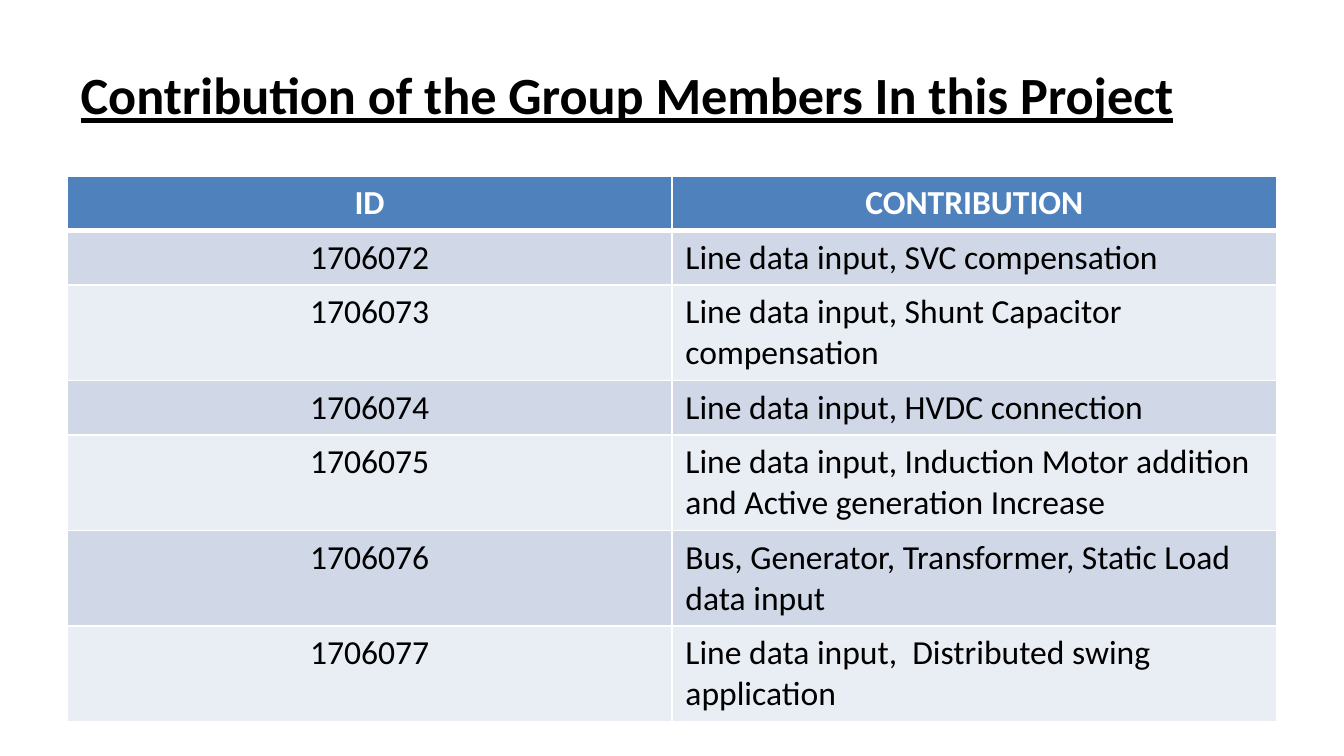
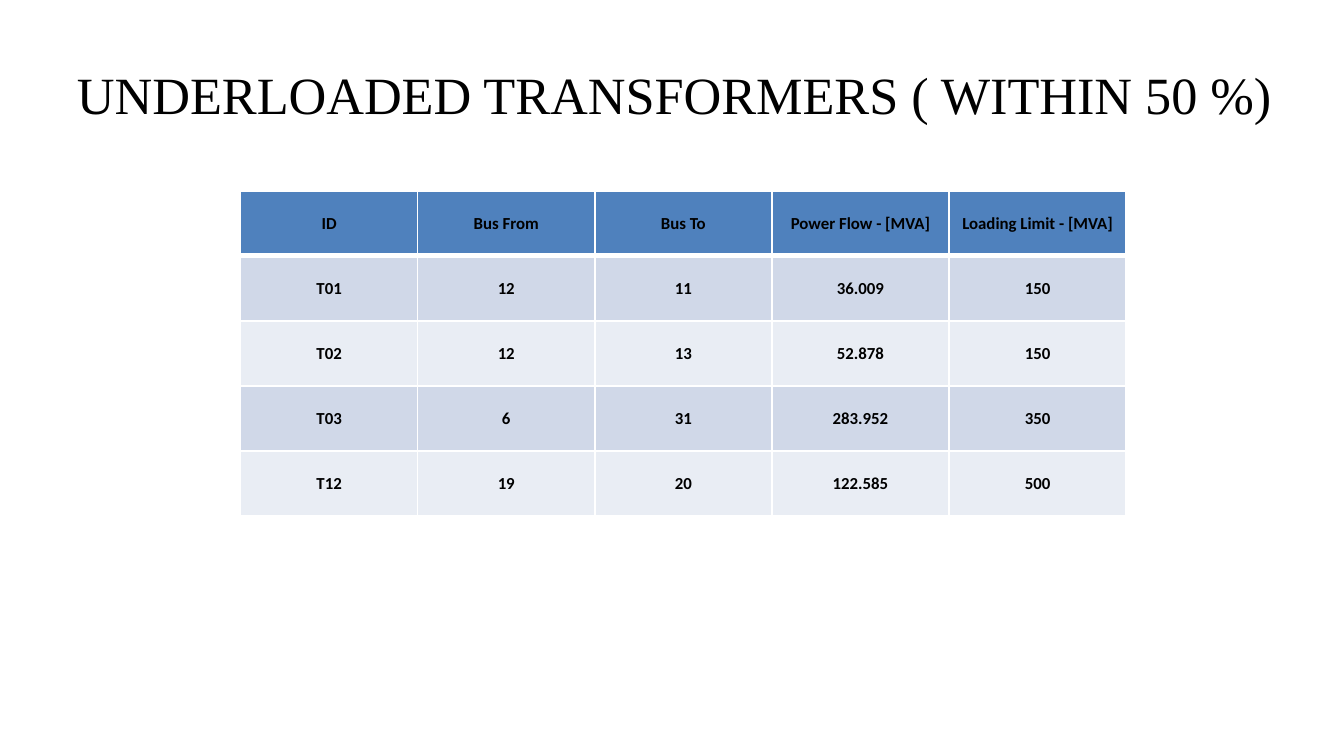
from lxml import etree
from pptx import Presentation
from pptx.dml.color import RGBColor
from pptx.enum import text
from pptx.oxml import ns
from pptx.util import Inches, Pt

# Shared look
BLACK, WHITE = "000000", "FFFFFF"
HEADER_FILL = "4F81BD"
BAND_FILLS = ["D0D8E8", "E9EDF4"]
CENTER, LEFT = text.PP_ALIGN.CENTER, text.PP_ALIGN.LEFT
MIDDLE = text.MSO_ANCHOR.MIDDLE


def style_font(font, name, size, color, bold=False, underline=False):
    font.name, font.size = name, Pt(size)
    font.bold, font.underline = bold, underline
    font.color.rgb = RGBColor.from_string(color)


def set_border(cell, side, points):
    line = etree.SubElement(cell._tc.get_or_add_tcPr(), ns.qn(f"a:ln{side}"),
                            w=str(Pt(points)))
    fill = etree.SubElement(line, ns.qn("a:solidFill"))
    etree.SubElement(fill, ns.qn("a:srgbClr"), val=WHITE)


# Content of the two slides
contributions = [
    ("ID", "CONTRIBUTION"),
    ("1706072", "Line data input, SVC compensation"),
    ("1706073", "Line data input, Shunt Capacitor compensation"),
    ("1706074", "Line data input, HVDC connection"),
    ("1706075", "Line data input, Induction Motor addition and Active generation Increase"),
    ("1706076", "Bus, Generator, Transformer, Static Load data input"),
    ("1706077", "Line data input,  Distributed swing application"),
]
transformers = [
    ("ID", "Bus From", "Bus To", "Power Flow - [MVA]", "Loading Limit - [MVA]"),
    ("T01", "12", "11", "36.009", "150"),
    ("T02", "12", "13", "52.878", "150"),
    ("T03", "6", "31", "283.952", "350"),
    ("T12", "19", "20", "122.585", "500"),
]
pages = [
    dict(title="Contribution of the Group Members In this Project",
         title_left=0.5, title_width=9, title_font="Calibri", title_align=LEFT,
         emphasis=True, rows=contributions, left=0.5, top=1.31, width=9,
         height=2.84, size=18, header_color=WHITE, compact=False),
    dict(title="UNDERLOADED TRANSFORMERS ( WITHIN 50 %)",
         title_left=0.32, title_width=9.39, title_font="Times New Roman",
         title_align=CENTER, emphasis=False, rows=transformers, left=1.79,
         top=1.42, width=6.59, height=2.42, size=9,
         header_color=BLACK, compact=True),
]

# Widescreen, 16:9
prs = Presentation()
prs.slide_width = Inches(10)
prs.slide_height = prs.slide_width * 9 // 16

for page in pages:
    slide = prs.slides.add_slide(prs.slide_layouts[5])

    # Title
    title = slide.shapes.title
    title.left, title.top = Inches(page["title_left"]), Inches(0.23)
    title.width, title.height = Inches(page["title_width"]), Inches(0.94)
    frame = title.text_frame
    frame.text = page["title"]
    frame.auto_size = text.MSO_AUTO_SIZE.NONE
    frame.vertical_anchor = MIDDLE
    heading = frame.paragraphs[0]
    heading.alignment = page["title_align"]
    style_font(heading.font, page["title_font"], 28, BLACK,
               page["emphasis"], page["emphasis"])

    # Table, with equal columns and rows
    rows, compact = page["rows"], page["compact"]
    table = slide.shapes.add_table(
        len(rows), len(rows[0]), Inches(page["left"]), Inches(page["top"]),
        Inches(page["width"]), Inches(page["height"])).table

    for r, values in enumerate(rows):
        header = r == 0
        for c, value in enumerate(values):
            cell = table.cell(r, c)
            cell.text = value
            entry = cell.text_frame.paragraphs[0]
            entry.alignment = CENTER if header or compact or c == 0 else LEFT
            style_font(entry.font, "Calibri", page["size"],
                       page["header_color"] if header else BLACK,
                       header or compact)
            if compact:
                cell.vertical_anchor = MIDDLE
                cell.margin_left = cell.margin_right = Inches(0.06)
                cell.margin_top = cell.margin_bottom = 0
                entry.line_spacing, entry.space_after = 1.07, Pt(8)

            # White rules, heavier below the header
            for side, points in (("L", 1), ("R", 1), ("T", 3 if r == 1 else 1),
                                 ("B", 3 if header else 1)):
                set_border(cell, side, points)
            cell.fill.solid()
            cell.fill.fore_color.rgb = RGBColor.from_string(
                HEADER_FILL if header else BAND_FILLS[(r - 1) % 2])

prs.save("out.pptx")
